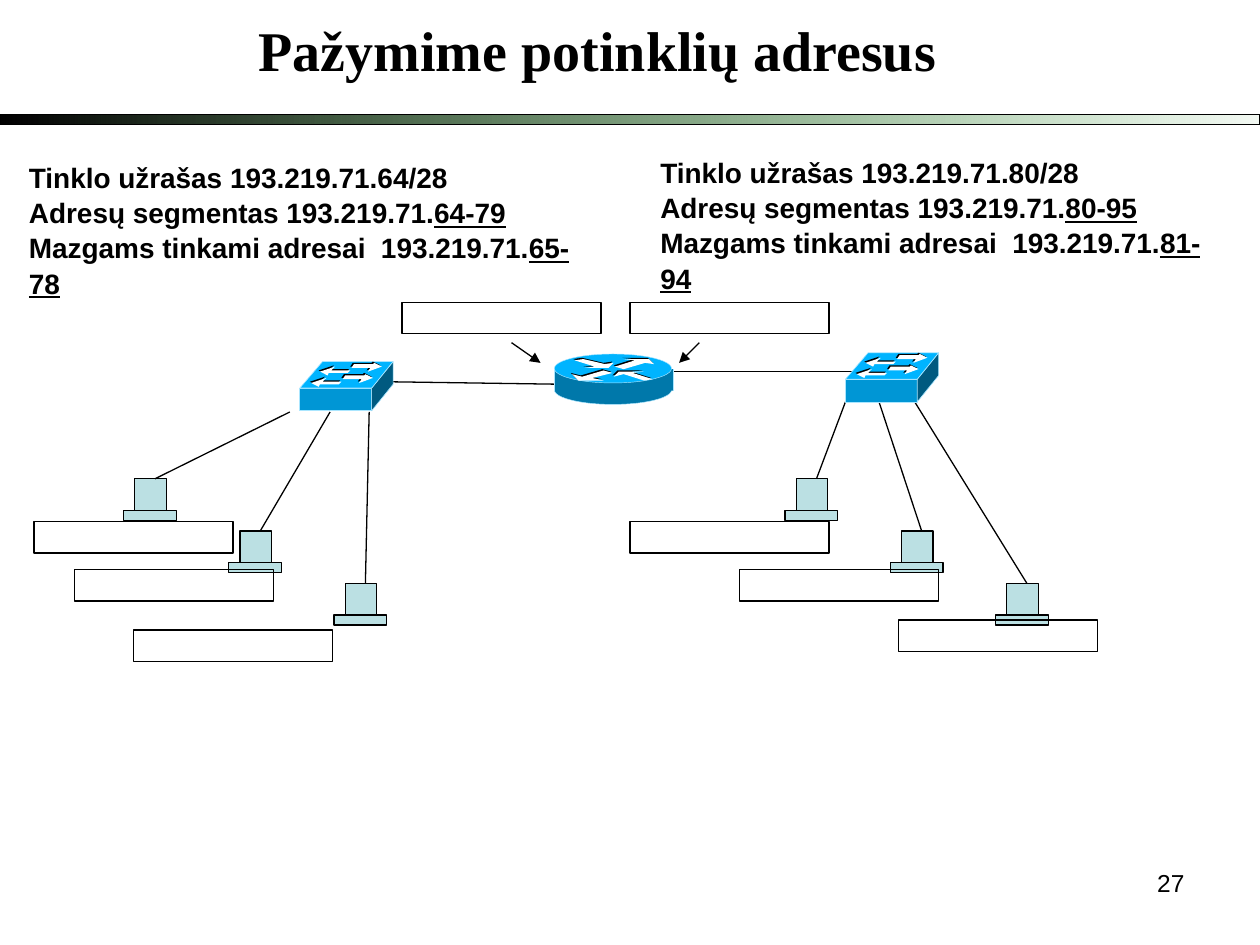
from dataclasses import dataclass
from lxml import etree
from pptx import Presentation
from pptx.dml.color import RGBColor
from pptx.enum.shapes import MSO_CONNECTOR, MSO_SHAPE
from pptx.enum.text import MSO_ANCHOR, MSO_AUTO_SIZE, PP_ALIGN
from pptx.oxml.ns import qn
from pptx.util import Inches, Pt

RECT, OVAL = MSO_SHAPE.RECTANGLE, MSO_SHAPE.OVAL
STRAIGHT = MSO_CONNECTOR.STRAIGHT
LEFT, CENTER, RIGHT = PP_ALIGN.LEFT, PP_ALIGN.CENTER, PP_ALIGN.RIGHT
TOP = MSO_ANCHOR.TOP
FIXED = MSO_AUTO_SIZE.NONE


@dataclass(frozen=True)
class Theme:
    ink: str = "000000"
    white: str = "FFFFFF"
    green: str = "008000"
    host: str = "BBE0E3"
    light: str = "00B4FF"
    front: str = "0096D5"
    rim: str = "0078AA"
    side: str = "005A80"
    edge: str = "AAE6FF"
    serif: str = "Times New Roman"
    sans: str = "Arial"
    head: int = 32
    body: int = 16
    small: int = 14
    thin: float = 0.75
    fine: float = 0.37
    hair: float = 0.25


ROUTER_ARROWS = [
    [(4.88, 2.91), (4.95, 2.93), (5.12, 2.88), (5.19, 2.89), (5.15, 2.85), (4.95, 2.85), (5.04, 2.86)],
    [(4.86, 2.96), (4.79, 2.94), (4.62, 2.99), (4.54, 2.97), (4.59, 3.02), (4.79, 3.02), (4.7, 3)],
    [(4.56, 2.86), (4.63, 2.85), (4.8, 2.89), (4.87, 2.88), (4.83, 2.92), (4.64, 2.92), (4.72, 2.91)],
    [(5.18, 3.01), (5.11, 3.02), (4.95, 2.97), (4.87, 2.99), (4.91, 2.95), (5.11, 2.95), (5.02, 2.96)],
]
SWITCH_ARROWS = [
    [(0.36, 0.11), (0.34, 0.14), (0.49, 0.14), (0.47, 0.17), (0.58, 0.13), (0.52, 0.1), (0.51, 0.11)],
    [(0.31, 0.18), (0.33, 0.16), (0.18, 0.16), (0.21, 0.13), (0.09, 0.17), (0.15, 0.2), (0.16, 0.18)],
]
SWITCH_TOP = [(0.57, 0.21), (0.74, 0), (0.18, 0), (0, 0.21)]
SWITCH_SIDE = [(0.57, 0.21), (0.74, 0), (0.74, 0.18), (0.57, 0.39)]
NOTES = [(0.13, 1.21, "64/28", "64-79", "65-78"), (5.14, 1.17, "80/28", "80-95", "81-94")]
NETS = [
    (0.98, [(2.3, 3.27), (2.62, 3.27), (2.93, 3.27)]),
    (6.23, [(6.71, 3.19), (6.95, 3.11), (7.26, 3.19)]),
]
LABELS = [(3.19, 2.4), (5, 2.4), (0.27, 4.14), (0.59, 4.52), (1.06, 5), (5, 4.14), (5.87, 4.52), (7.13, 4.92)]


def shift(dots, dx, dy):
    return [(x + dx, y + dy) for x, y in dots]


class Page:
    def __init__(self, deck, theme):
        self.theme = theme
        self.slide = deck.slides.add_slide(deck.slide_layouts[3])
        self.shapes = self.slide.shapes

    def text(self, shape, box, lines, look, align=LEFT, wrap=False):
        names = ("left", "top", "width", "height")
        for name, value in zip(names, box):
            setattr(shape, name, Inches(value))
        frame = shape.text_frame
        rules = {"word_wrap": wrap, "auto_size": FIXED, "vertical_anchor": TOP}
        for name, value in rules.items():
            setattr(frame, name, value)
        color = RGBColor.from_string(self.theme.ink)
        for row, parts in enumerate(lines):
            para = frame.add_paragraph() if row else frame.paragraphs[0]
            rules = {"alignment": align, "space_before": Pt(0), "line_spacing": 1.05}
            for name, value in rules.items():
                setattr(para, name, value)
            props = para._p.get_or_add_pPr()
            props.set("marL", "0")
            props.set("indent", "0")
            etree.SubElement(props, qn("a:buNone"))
            for spot, words in enumerate(parts):
                run = para.add_run()
                run.text = words
                for name, value in {**look, "underline": spot > 0}.items():
                    setattr(run.font, name, value)
                run.font.color.rgb = color

    def paint(self, shape, fill, line, width):
        shape.shadow.inherit = False
        if fill:
            shape.fill.solid()
            shape.fill.fore_color.rgb = RGBColor.from_string(fill)
        else:
            shape.fill.background()
        if line:
            shape.line.color.rgb = RGBColor.from_string(line)
            shape.line.width = Pt(width)
        else:
            shape.line.fill.background()
        return shape

    def block(self, box, fill=None, line=None, width=Theme.thin, kind=RECT):
        shape = self.shapes.add_shape(kind, *map(Inches, box))
        return self.paint(shape, fill, line, width)

    def form(self, dots, fill, line=None, width=Theme.fine):
        spots = [(Inches(x), Inches(y)) for x, y in dots]
        pen = self.shapes.build_freeform(*spots[0])
        pen.add_line_segments(spots[1:], close=True)
        return self.paint(pen.convert_to_shape(), fill, line, width)

    def wire(self, start, end, color=Theme.ink, width=Theme.thin, arrow=False):
        link = self.shapes.add_connector(STRAIGHT, *map(Inches, (*start, *end)))
        link.line.color.rgb = RGBColor.from_string(color)
        link.line.width = Pt(width)
        if arrow:
            etree.SubElement(link.line._get_or_add_ln(), qn("a:tailEnd"), type="triangle")
        etree.SubElement(link._element.spPr, qn("a:effectLst"))

    def band(self, box):
        shape = self.block(box, line=self.theme.ink)
        shape.fill.gradient()
        shape.fill.gradient_angle = 0
        for stop, color, place in zip(shape.fill.gradient_stops, (self.theme.ink, self.theme.green), (0, 1)):
            stop.color.rgb = RGBColor.from_string(color)
            stop.position = place
        tint = list(shape._element.iter(qn("a:srgbClr")))
        green = next(item for item in tint if item.get("val") == self.theme.green)
        etree.SubElement(green, qn("a:alpha"), val="5000")

    def arrows(self, forms):
        for color, lift in ((self.theme.ink, -0.01), (self.theme.white, 0)):
            for dots in forms:
                self.form(shift(dots, lift, lift), color)

    def host(self, x, y):
        for box in ((x + 0.09, y, 0.25, 0.25), (x, y + 0.25, 0.42, 0.08)):
            self.block(box, self.theme.host, self.theme.ink)

    def net(self, left, ports):
        spots = [(left + 0.835 * step, 3.8 + 0.415 * step) for step in range(3)]
        for spot in spots:
            self.host(*spot)
        for port, (x, y) in zip(ports, spots):
            self.wire(port, (x + 0.25, y))

    def router(self):
        t = self.theme
        self.block((4.4, 2.98, 0.93, 0.23), t.rim, t.edge, t.hair, OVAL)
        self.block((4.4, 2.93, 0.94, 0.17), t.rim)
        self.block((4.4, 2.81, 0.93, 0.23), t.light, t.edge, t.hair, OVAL)
        self.arrows(ROUTER_ARROWS)
        for x in (4.4, 5.34):
            self.wire((x, 2.93), (x, 3.1), t.edge, t.hair)

    def switch(self, x, y):
        t = self.theme
        self.block((x, y + 0.21, 0.57, 0.18), t.front, t.edge, t.fine)
        for dots, fill in ((SWITCH_SIDE, t.side), (SWITCH_TOP, t.light)):
            self.form(shift(dots, x, y), fill, t.edge)
        self.arrows([shift(dots, x + dx, y + dy) for dots in SWITCH_ARROWS
                     for dx, dy in ((0, 0), (0.07, -0.09))])


def main():
    theme = Theme()
    deck = Presentation()
    deck.slide_width, deck.slide_height = Inches(10), Inches(7.5)
    page = Page(deck, theme)
    title, *bodies = page.slide.placeholders
    page.text(title, (1.95, 0.05, 5.59, 0.64), [["Pažymime potinklių adresus"]],
              {"name": theme.serif, "size": Pt(theme.head), "bold": True}, CENTER)
    look = {"name": theme.sans, "size": Pt(theme.body), "bold": True}
    for body, (x, y, net, span, hosts) in zip(bodies, NOTES):
        lines = [[f"Tinklo užrašas 193.219.71.{net}"],
                 ["Adresų segmentas 193.219.71.", span],
                 ["Mazgams tinkami adresai  193.219.71.", hosts]]
        page.text(body, (x, y, 4.73, 0.9), lines, look)
    number = page.shapes.add_textbox(0, 0, 0, 0)
    page.text(number, (7.17, 6.83, 2.33, 0.52), [["27"]],
              {"name": theme.sans, "size": Pt(theme.small)}, RIGHT, True)
    page.band((0, 0.91, 10, 0.08))
    for left, ports in NETS:
        page.net(left, ports)
    page.wire((3.09, 3.03), (4.48, 3.05))
    page.wire((5.29, 2.95), (6.84, 2.95))
    page.router()
    page.switch(6.71, 2.8)
    page.switch(2.38, 2.87)
    page.wire((4.06, 2.72), (4.29, 2.88), arrow=True)
    page.wire((5.55, 2.72), (5.39, 2.88), arrow=True)
    for x, y in LABELS:
        page.block((x, y, 1.58, 0.25), line=theme.ink)
    deck.save("out.pptx")


if __name__ == "__main__":
    main()
